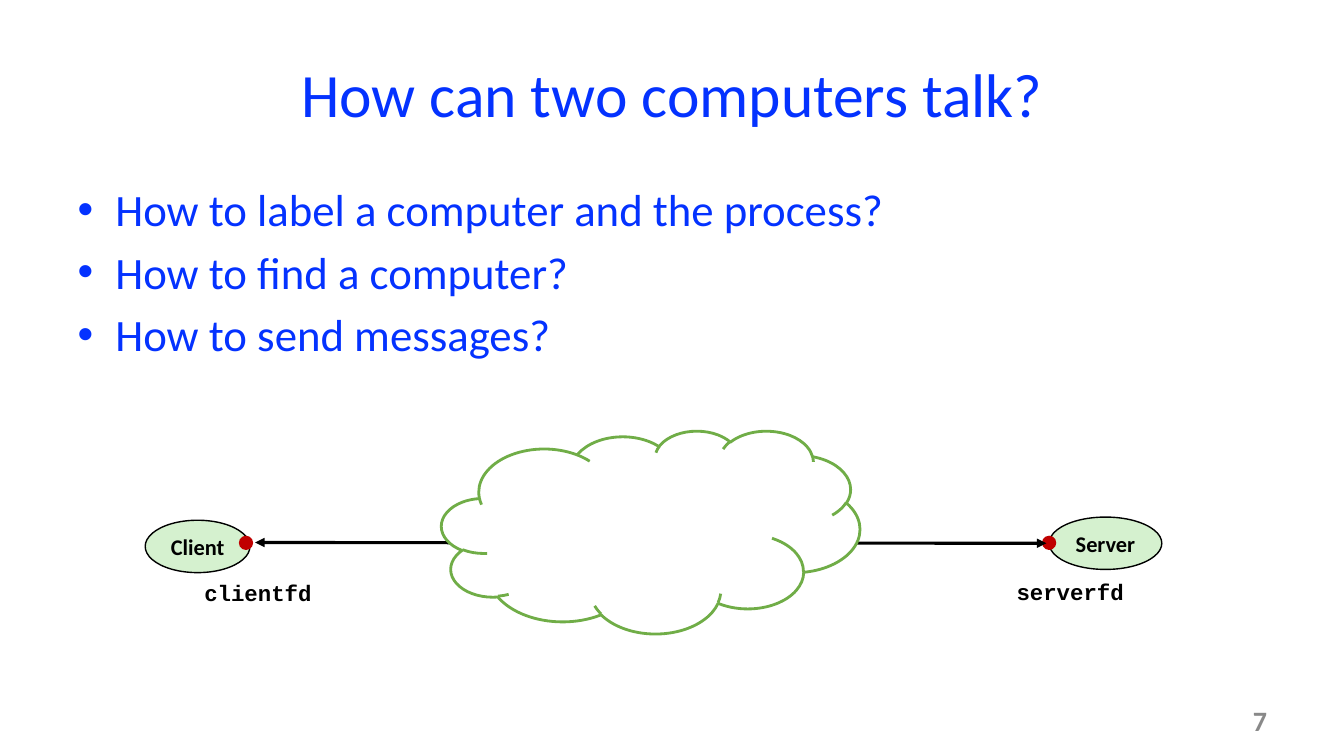
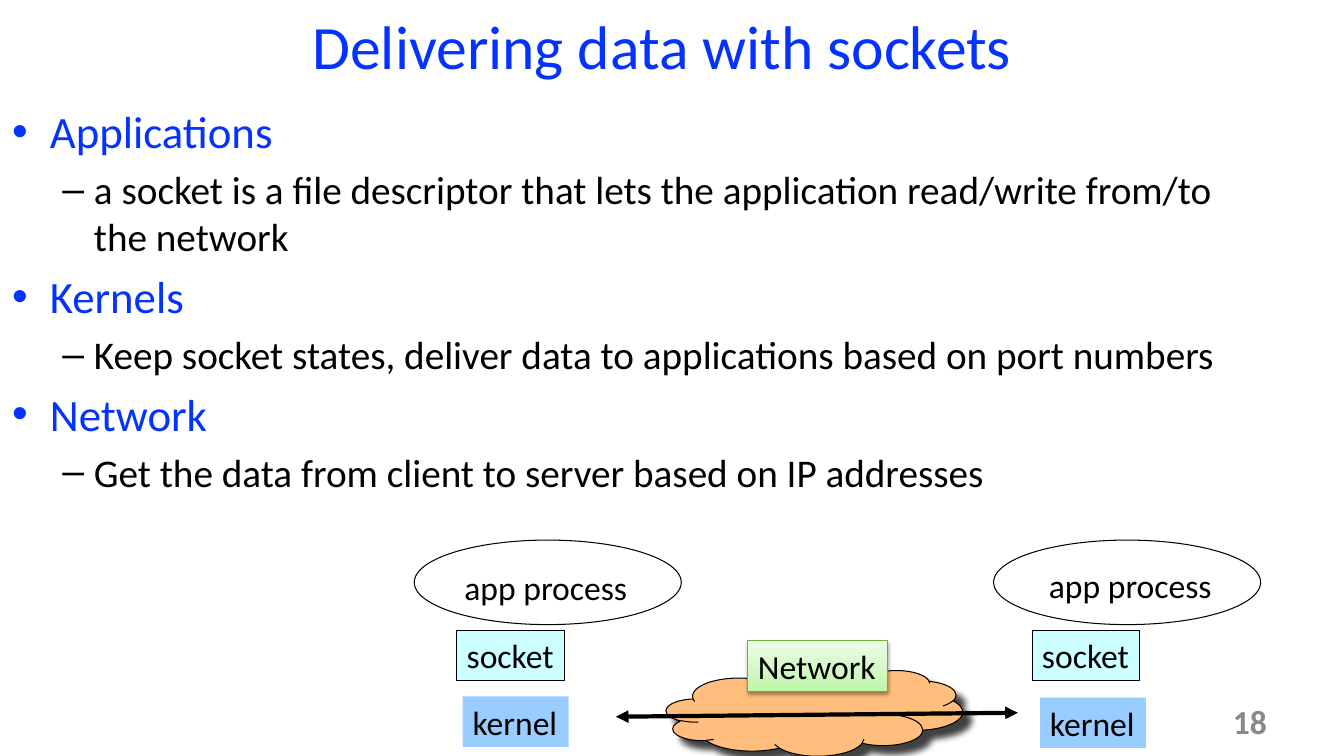
from copy import deepcopy
from dataclasses import dataclass
from typing import Optional

from lxml import etree
from pptx import Presentation
from pptx import util as u
from pptx.dml.color import RGBColor
from pptx.enum import shapes, text
from pptx.oxml.ns import qn

BLUE, BLACK, WHITE, GREY = "0432FF", "000000", "FFFFFF", "898989"
MINT, RED, GREEN = "D5F1CF", "C00000", "70AD47"
CYAN, SKY, ORANGE, LEAF = "CCFFFF", "99CCFF", "FFBE7D", "6DAC43"
NETWORK_GRADIENT = ((0, "BEF5A7"), (0.35, "D1F7C2"), (1, "EDFDE7"))
LEVEL_STYLES = ((32, BLUE), (28, BLACK))
SANS, MONO = "Calibri", "Courier New"

OVAL = shapes.MSO_SHAPE.OVAL
RECTANGLE = shapes.MSO_SHAPE.RECTANGLE
CLOUD = shapes.MSO_SHAPE.CLOUD
LEFT, CENTER, RIGHT = text.PP_ALIGN.LEFT, text.PP_ALIGN.CENTER, text.PP_ALIGN.RIGHT
TOP, MIDDLE = text.MSO_ANCHOR.TOP, text.MSO_ANCHOR.MIDDLE

Box = tuple[float, float, float, float]


@dataclass
class Shadow:
    opacity: int
    blur: float
    distance: float
    angle: int


@dataclass
class Label:
    wording: str
    size: float = 24
    font: str = SANS
    bold: bool = False
    align: text.PP_ALIGN = CENTER
    anchor: text.MSO_ANCHOR = TOP
    color: str = BLACK


@dataclass
class Figure:
    at: Box
    kind: Optional[shapes.MSO_SHAPE] = None
    fill: Optional[str] = None
    gradient: tuple = ()
    line: Optional[str] = None
    width: float = 0.75
    shadow: Optional[Shadow] = None
    label: Optional[Label] = None


@dataclass
class Arrow:
    start: tuple[float, float]
    end: tuple[float, float]
    width: float


@dataclass
class Page:
    title: str
    title_at: Box
    body: list[tuple[int, str]]
    body_at: Box
    number: Label
    drawing: list


def rgb(color: str) -> RGBColor:
    return RGBColor.from_string(color)


def place(shape, at: Box) -> None:
    shape.left, shape.top, shape.width, shape.height = map(u.Cm, at)


def write(para, wording: str, *, size: float, color: str = BLACK,
          font: str = SANS, bold: bool = False, align=None) -> None:
    if align is not None:
        para.alignment = align
    span = para.add_run()
    span.text = wording
    span.font.name = font
    span.font.size = u.Pt(size)
    span.font.bold = bold
    span.font.color.rgb = rgb(color)


def add_label(box, label: Label) -> None:
    frame = box.text_frame
    frame.word_wrap = False
    frame.vertical_anchor = label.anchor
    write(frame.paragraphs[0], label.wording, size=label.size, color=label.color,
          font=label.font, bold=label.bold, align=label.align)


def add_shadow(shape, shadow: Shadow) -> None:
    effects = shape._element.spPr.find(qn("a:effectLst"))
    outer = etree.SubElement(effects, qn("a:outerShdw"), {
        "blurRad": str(u.Pt(shadow.blur)), "dist": str(u.Pt(shadow.distance)),
        "dir": str(shadow.angle * 60000), "algn": "ctr", "rotWithShape": "0"})
    tint = etree.SubElement(outer, qn("a:srgbClr"), val=BLACK)
    etree.SubElement(tint, qn("a:alpha"), val=str(shadow.opacity * 1000))


def fill_gradient(shape, stops: tuple) -> None:
    shape.fill.gradient()
    shape.fill.gradient_angle = 90
    stop_list = shape._element.spPr.find(qn("a:gradFill")).find(qn("a:gsLst"))
    while len(stop_list) < len(stops):
        stop_list.append(deepcopy(stop_list[0]))
    for stop, (position, color) in zip(shape.fill.gradient_stops, stops):
        stop.position = position
        stop.color.rgb = rgb(color)


def draw_figure(page, figure: Figure) -> None:
    bounds = [u.Cm(length) for length in figure.at]
    if figure.kind is None:
        shape = page.shapes.add_textbox(*bounds)
    else:
        shape = page.shapes.add_shape(figure.kind, *bounds)
        shape.shadow.inherit = False
        if figure.gradient:
            fill_gradient(shape, figure.gradient)
        elif figure.fill:
            shape.fill.solid()
            shape.fill.fore_color.rgb = rgb(figure.fill)
        else:
            shape.fill.background()
        if figure.line:
            shape.line.color.rgb = rgb(figure.line)
            shape.line.width = u.Pt(figure.width)
        else:
            shape.line.fill.background()
        if figure.shadow:
            add_shadow(shape, figure.shadow)
    if figure.label:
        add_label(shape, figure.label)


def draw_arrow(page, arrow: Arrow) -> None:
    ends = [u.Cm(length) for length in (*arrow.start, *arrow.end)]
    connector = page.shapes.add_connector(shapes.MSO_CONNECTOR.STRAIGHT, *ends)
    connector.line.color.rgb = rgb(BLACK)
    connector.line.width = u.Pt(arrow.width)
    properties = connector._element.spPr
    outline = properties.find(qn("a:ln"))
    for tip in ("a:headEnd", "a:tailEnd"):
        etree.SubElement(outline, qn(tip), type="triangle")
    etree.SubElement(properties, qn("a:effectLst"))


def build_page(deck, content: Page) -> None:
    page = deck.slides.add_slide(deck.slide_layouts[1])
    title, body = page.shapes.title, page.placeholders[1]
    place(title, content.title_at)
    title.text_frame.vertical_anchor = MIDDLE
    write(title.text_frame.paragraphs[0], content.title,
          size=44, color=BLUE, align=CENTER)
    place(body, content.body_at)
    frame = body.text_frame
    frame.auto_size = text.MSO_AUTO_SIZE.NONE
    for index, (level, wording) in enumerate(content.body):
        para = frame.add_paragraph() if index else frame.paragraphs[0]
        para.level = level
        size, color = LEVEL_STYLES[level]
        write(para, wording, size=size, color=color)
    draw_figure(page, Figure((24.28, 17.65, 7.9, 1.02), label=content.number))
    for item in content.drawing:
        if isinstance(item, Arrow):
            draw_arrow(page, item)
        else:
            draw_figure(page, item)


def page_number(number: str, size: float) -> Label:
    return Label(number, size, bold=True, align=RIGHT, anchor=MIDDLE, color=GREY)


def endpoint(name: str, at: Box) -> Figure:
    return Figure(at, OVAL, MINT, line=BLACK, width=1,
                  label=Label(name, 16, bold=True, anchor=MIDDLE))


def descriptor(name: str, left: float, top: float) -> Figure:
    return Figure((left, top, 3.24, 0.94),
                  label=Label(name, 16, MONO, bold=True, anchor=MIDDLE))


def port(left: float) -> Figure:
    return Figure((left, 13.5, 0.36, 0.36), OVAL, RED)


def host(process: float, name: tuple, socket: float, kernel: tuple) -> list[Figure]:
    return [
        Figure((process, 13.61, 6.73, 2.13), OVAL, line=BLACK),
        Figure((socket, 15.88, 2.72, 1.27), RECTANGLE, CYAN, line=BLACK,
               label=Label("socket", align=LEFT)),
        Figure((*name, 4.65, 1.27), label=Label("app process")),
        Figure((*kernel, 2.67, 1.27), RECTANGLE, SKY,
               label=Label("kernel", align=LEFT)),
    ]


PAGES = [
    Page(
        "How can two computers talk?", (1.7, 0.76, 30.48, 3.18),
        [(0, "How to label a computer and the process?"),
         (0, "How to find a computer?"),
         (0, "How to send messages?")],
        (1.7, 4.45, 30.48, 12.57),
        page_number("7", 20),
        [
            endpoint("Client", (3.66, 13.11, 2.64, 1.32)),
            endpoint("Server", (26.44, 13.03, 2.84, 1.32)),
            descriptor("clientfd", 4.88, 14.45),
            descriptor("serverfd", 25.35, 14.43),
            port(26.26),
            Arrow((6.43, 13.67), (26.37, 13.69), 2.25),
            port(6.02),
            Figure((11.13, 10.85, 10.54, 5.11), CLOUD, WHITE, line=GREEN, width=2),
        ],
    ),
    Page(
        "Delivering data with sockets", (1.45, -0.46, 30.48, 3.18),
        [(0, "Applications"),
         (1, "a socket is a file descriptor that lets the application "
             "read/write from/to the network"),
         (0, "Kernels"),
         (1, "Keep socket states, deliver data to applications based on port numbers"),
         (0, "Network"),
         (1, "Get the data from client to server based on IP addresses")],
        (0.05, 2.49, 31.24, 7.49),
        page_number("18", 24),
        [
            *host(10.44, (11.43, 14.15), 11.51, (11.66, 17.55)),
            *host(25.04, (26.16, 14.12), 26.01, (26.21, 17.58)),
            Figure((16.79, 16.89, 7.47, 2.16), CLOUD, ORANGE, line=BLACK,
                   shadow=Shadow(75, 5, 8.5, 45)),
            Arrow((15.52, 18.06), (25.65, 17.96), 3),
            Figure((18.85, 16.15, 3.51, 1.27), RECTANGLE, gradient=NETWORK_GRADIENT,
                   line=LEAF, shadow=Shadow(38, 3.1, 1.6, 90),
                   label=Label("Network", align=LEFT)),
        ],
    ),
]

deck = Presentation()
deck.slide_width, deck.slide_height = u.Cm(33.87), u.Cm(19.05)
for content in PAGES:
    build_page(deck, content)
deck.save("out.pptx")
